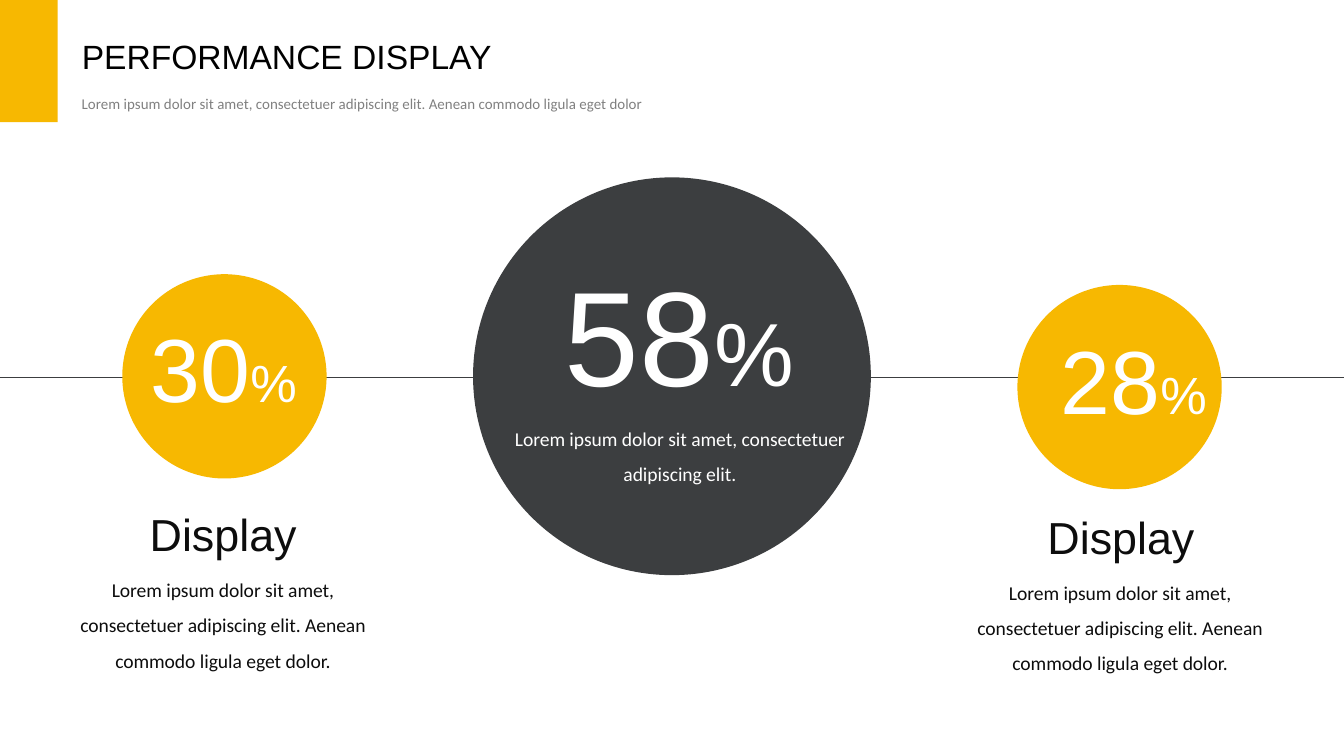
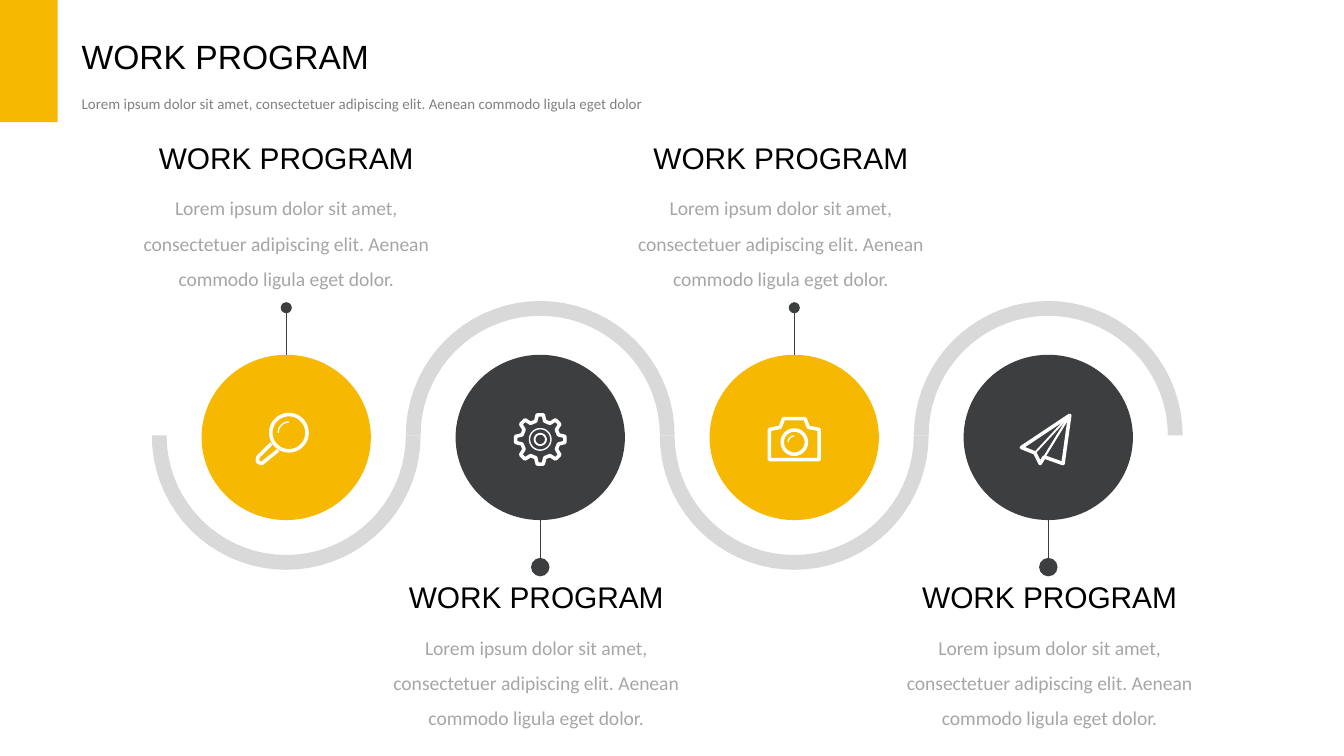
import math

import lxml.etree
import pptx
import pptx.dml.color
import pptx.enum.shapes
import pptx.enum.text
import pptx.oxml.ns
import pptx.util

RGB = pptx.dml.color.RGBColor
SHAPE = pptx.enum.shapes.MSO_SHAPE
ALIGN = pptx.enum.text.PP_ALIGN

YELLOW = RGB(0xF7, 0xB8, 0x01)
CHARCOAL = RGB(0x3C, 0x3E, 0x40)
BAND_GREY = RGB(0xD9, 0xD9, 0xD9)
SUBTITLE_GREY = RGB(0x80, 0x80, 0x80)
CAPTION_GREY = RGB(0xA6, 0xA6, 0xA6)
INK = RGB(0x0D, 0x0D, 0x0D)
BLACK = RGB(0, 0, 0)
WHITE = RGB(0xFF, 0xFF, 0xFF)

# The slide is a grid of 100 columns by 56.25 rows of equal cells.
COLUMNS, ROWS = 100, 56.25
CELL = pptx.util.Inches(10) // COLUMNS

HEADING_FONT, BODY_FONT = "Arial", "Calibri"
THICK, THIN = 1.9, 0.75
SHORT_LOREM = "Lorem ipsum dolor sit amet, consectetuer adipiscing elit."
SUBTITLE = SHORT_LOREM + " Aenean commodo ligula eget dolor"
LOREM = SUBTITLE + "."


def cells(*counts):
    return [pptx.util.Emu(round(count * CELL)) for count in counts]


def add_text(slide, box, parts, color, font=HEADING_FONT, align=ALIGN.CENTER,
             spacing=None, wrap=True):
    """Write (text, size) parts as the runs of one paragraph."""
    frame = slide.shapes.add_textbox(*cells(*box)).text_frame
    frame.word_wrap = wrap
    frame.auto_size = pptx.enum.text.MSO_AUTO_SIZE.SHAPE_TO_FIT_TEXT
    paragraph = frame.paragraphs[0]
    paragraph.alignment = align
    if spacing:
        paragraph.line_spacing = spacing
    for text, size in parts:
        run = paragraph.add_run()
        run.text = text
        run.font.size = pptx.util.Pt(size)
        run.font.name = font
        run.font.color.rgb = color


def add_body(slide, center, top, width, height, color, text=LOREM):
    add_text(slide, (center - width / 2, top, width, height),
             [(text, 10.5)], color, BODY_FONT, spacing=1.5)


def add_filled(slide, kind, box, color):
    shape = slide.shapes.add_shape(kind, *cells(*box))
    shape.shadow.inherit = False
    shape.fill.solid()
    shape.fill.fore_color.rgb = color
    shape.line.fill.background()
    return shape


def add_disc(slide, center_x, center_y, width, height, color):
    box = (center_x - width / 2, center_y - height / 2, width, height)
    return add_filled(slide, SHAPE.OVAL, box, color)


def add_rule(slide, start, end, dot_size=None):
    """Draw a thin line, with an oval end when dot_size is given."""
    rule = slide.shapes.add_connector(
        pptx.enum.shapes.MSO_CONNECTOR.STRAIGHT, *cells(*start, *end))
    rule.line.color.rgb = CHARCOAL
    rule.line.width = pptx.util.Pt(0.5)
    properties = rule.element.spPr
    lxml.etree.SubElement(properties, pptx.oxml.ns.qn("a:effectLst"))
    if dot_size:
        lxml.etree.SubElement(rule.line._get_or_add_ln(),
                              pptx.oxml.ns.qn("a:tailEnd"),
                              type="oval", w=dot_size, len=dot_size)


def arc(center_x, center_y, radius, start=0, end=360, steps=36):
    """Points along an arc; degrees run clockwise from the right."""
    angles = [math.radians(start + (end - start) * step / steps)
              for step in range(steps + 1)]
    return [(center_x + radius * math.cos(angle),
             center_y + radius * math.sin(angle)) for angle in angles]


def add_outline(slide, points, close=True):
    first, *others = [cells(*point) for point in points]
    builder = slide.shapes.build_freeform(*first)
    builder.add_line_segments(others, close=close)
    outline = builder.convert_to_shape()
    outline.shadow.inherit = False
    return outline


def add_stroke(slide, origin, points, width, close=True):
    """Draw white icon linework whose points are relative to origin."""
    placed = [(origin[0] + x, origin[1] + y) for x, y in points]
    stroke = add_outline(slide, placed, close)
    stroke.fill.background()
    stroke.line.color.rgb = WHITE
    stroke.line.width = pptx.util.Pt(width)
    lxml.etree.SubElement(stroke.line._get_or_add_ln(),
                          pptx.oxml.ns.qn("a:round"))


def draw_magnifier(slide, origin):
    handle = [(-1.1, 0.3), (-2.1, 1.3), (-2.15, 1.65), (-1.85, 1.8),
              (-1.7, 1.7), (-0.6, 0.8)]
    add_stroke(slide, origin, handle, THICK, close=False)
    add_stroke(slide, origin, arc(0.2, -0.5, 1.35), THICK)
    add_stroke(slide, origin, arc(0.2, -0.5, 0.8, 180, 270), THIN, close=False)


def draw_gear(slide, origin):
    profile = [(-14, 1.4), (-7, 1.85), (7, 1.85), (14, 1.4)]
    rim = []
    for tooth in range(8):
        for offset, radius in profile:
            angle = math.radians(45 * tooth + offset)
            rim.append((radius * math.cos(angle), radius * math.sin(angle)))
    add_stroke(slide, origin, rim, THICK)
    add_stroke(slide, origin, arc(0, 0, 0.8), THIN)
    add_stroke(slide, origin, arc(0, 0, 0.42), 1)


def draw_camera(slide, origin):
    left_half = [(-1.85, 1.5), (-1.85, -0.75), (-1.05, -0.9), (-0.8, -1.55)]
    right_half = [(-x, y) for x, y in reversed(left_half)]
    add_stroke(slide, origin, left_half + right_half, THICK)
    add_stroke(slide, origin, arc(0, 0.2, 0.9), THICK)
    add_stroke(slide, origin, arc(0, 0.2, 0.45, 180, 270), THIN, close=False)


def draw_paper_plane(slide, origin):
    tip = (1.6, -1.8)
    hull = [tip, (-2, 0.6), (-1, 1), (-0.6, 1.8), (-0.3, 1.3), (1.1, 1.8)]
    add_stroke(slide, origin, hull, THICK)
    for fold in hull[2:5]:
        add_stroke(slide, origin, [tip, fold], 1, close=False)


def add_wave_arch(slide, center_x, rises):
    """Draw half a ring, opening downwards when it rises."""
    middle = 32.4
    start, end = (180, 360) if rises else (0, 180)
    arch = add_outline(slide, arc(center_x, middle, 10, start, end)
                       + arc(center_x, middle, 8.9, end, start))
    arch.fill.solid()
    arch.fill.fore_color.rgb = BAND_GREY
    arch.line.fill.background()


def add_header(slide, title, title_width):
    add_text(slide, (5.1, 2.2, title_width, 4), [(title, 18)], BLACK,
             align=ALIGN.LEFT, wrap=False)
    add_text(slide, (5.1, 5.9, 50, 2.8), [(SUBTITLE, 8)], SUBTITLE_GREY,
             BODY_FONT, ALIGN.LEFT, spacing=1.5)
    add_filled(slide, SHAPE.RECTANGLE, (0, 0, 4.3, 9.1), YELLOW)


def add_figure(slide, box, number, number_size, sign_size):
    add_text(slide, box, [(number, number_size), ("%", sign_size)], WHITE)


def add_side_display(slide, number, disc_center, number_box, label_center,
                     body_center, label_top):
    add_disc(slide, *disc_center, 15.2, 15.2, YELLOW)
    add_figure(slide, number_box, number, 48, 28)
    add_text(slide, (label_center - 8.9, label_top, 17.8, 5),
             [("Display", 24)], INK)
    add_body(slide, body_center, label_top + 4.45, 23.6, 8.7, INK)


def build_performance(slide):
    add_rule(slide, (0, ROWS / 2), (COLUMNS, ROWS / 2))
    add_disc(slide, COLUMNS / 2, 28, 29.6, 29.6, CHARCOAL)
    add_figure(slide, (40.7, 18.3, 19.7, 13.1), "58", 72, 48)
    add_body(slide, 50.6, 30.4, 29.6, 6, WHITE, SHORT_LOREM)
    add_header(slide, "PERFORMANCE DISPLAY", 32.8)
    add_side_display(slide, "30", (16.7, 28), (6.8, 22.8, 19.7, 9.1),
                     16.6, 16.6, 37.2)
    add_side_display(slide, "28", (83.3, 28.8), (74.5, 23.7, 19.7, 9.1),
                     83.4, 83.35, 37.4)


def add_step(slide, center_x, caption_center, caption_above, color, draw_icon):
    add_disc(slide, center_x, 32.55, 12.6, 12.3, color)
    add_wave_arch(slide, center_x, rises=not caption_above)
    if caption_above:
        caption_top, edge, dot, dot_size = 9.9, 26.4, 22.9, "med"
    else:
        caption_top, edge, dot, dot_size = 42.6, 38.7, 42.2, "lg"
    add_rule(slide, (center_x, edge), (center_x, dot), dot_size)
    add_text(slide, (caption_center - 10.6, caption_top, 21.2, 3.7),
             [("WORK PROGRAM", 16)], BLACK, wrap=False)
    add_body(slide, caption_center, caption_top + 3.35, 24.5, 8.7, CAPTION_GREY)
    draw_icon(slide, (center_x, 32.7))


def build_work_program(slide):
    add_header(slide, "WORK PROGRAM", 23.6)
    steps = [(21.3, draw_magnifier), (39.9, draw_gear),
             (58.1, draw_camera), (78.1, draw_paper_plane)]
    for index, (caption_center, draw_icon) in enumerate(steps):
        above = index % 2 == 0
        add_step(slide, 21.3 + 18.9 * index, caption_center, above,
                 YELLOW if above else CHARCOAL, draw_icon)


def main():
    deck = pptx.Presentation()
    deck.slide_width, deck.slide_height = cells(COLUMNS, ROWS)
    for build in (build_performance, build_work_program):
        build(deck.slides.add_slide(deck.slide_layouts[6]))
    deck.save("out.pptx")


if __name__ == "__main__":
    main()
